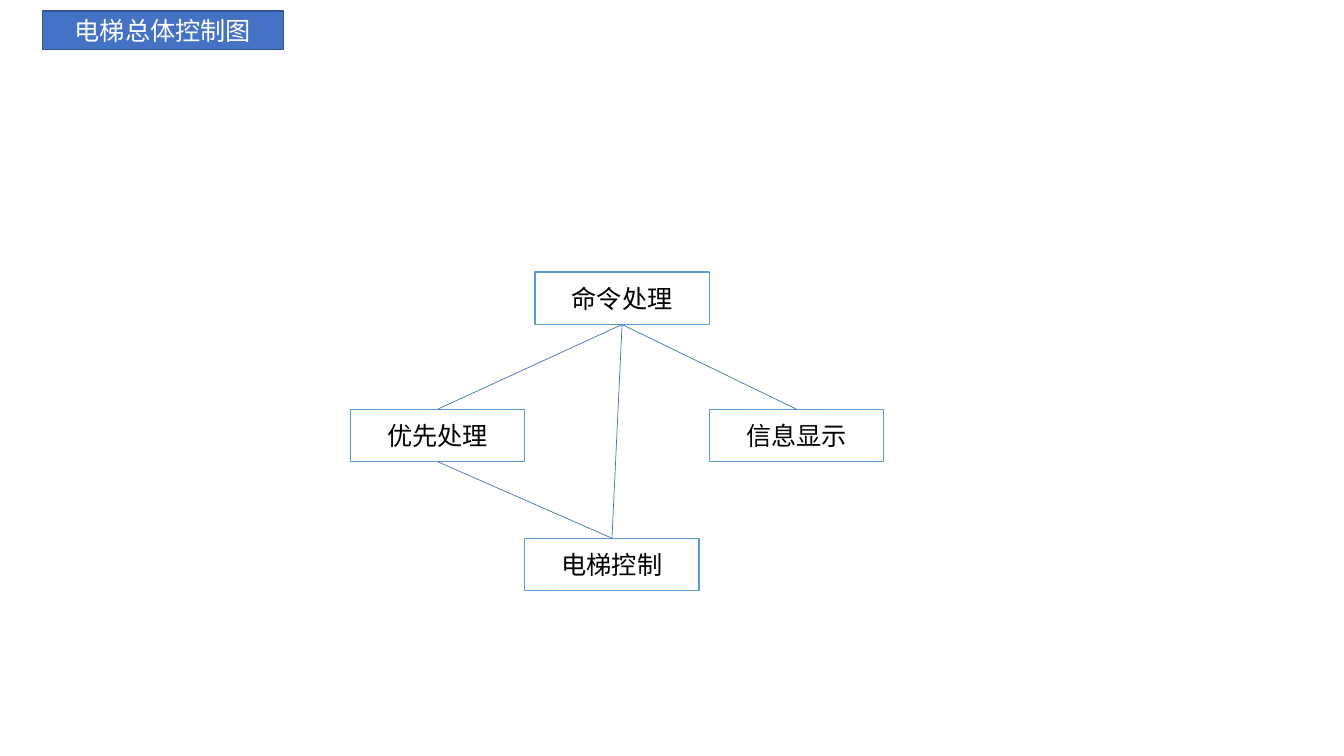
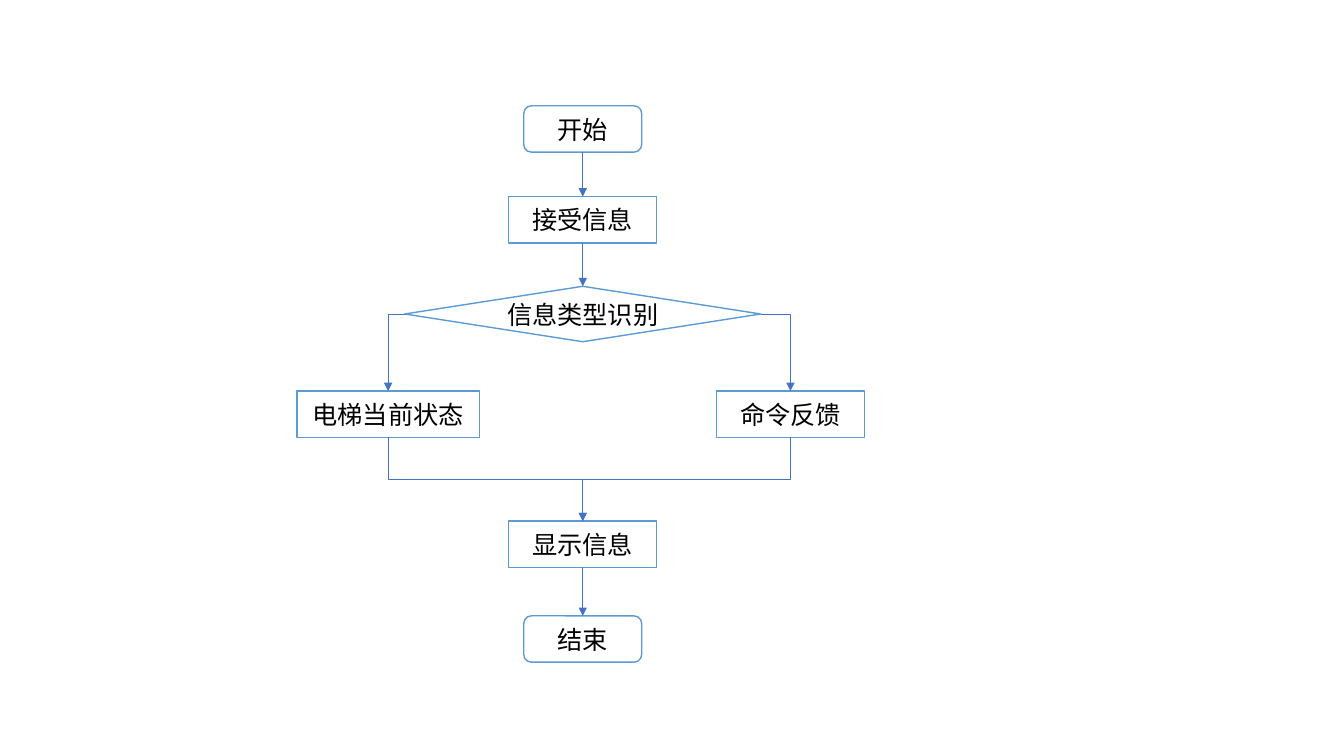
"""Build two slides on elevator control: a module diagram and a flow chart."""
from dataclasses import dataclass

from pptx import Presentation
from pptx.dml.color import RGBColor
from pptx.enum.shapes import MSO_CONNECTOR, MSO_SHAPE
from pptx.enum.text import MSO_ANCHOR, MSO_AUTO_SIZE, PP_ALIGN
from pptx.oxml.ns import qn
from pptx.util import Inches, Pt
from lxml import etree


@dataclass(frozen=True)
class Theme:
    """Colours, font and sizes shared by the slides."""
    font: str = "Noto Sans CJK SC"
    text_size: float = 18
    outline: float = 1
    link_width: float = 0.5
    paper: RGBColor = RGBColor(0xFF, 0xFF, 0xFF)
    ink: RGBColor = RGBColor(0x00, 0x00, 0x00)
    node_line: RGBColor = RGBColor(0x5B, 0x9B, 0xD5)
    accent: RGBColor = RGBColor(0x44, 0x72, 0xC4)
    accent_dark: RGBColor = RGBColor(0x32, 0x54, 0x91)


THEME = Theme()
TITLE_ONLY, BLANK = 5, 6
TOP, LEFT, BOTTOM, RIGHT = range(4)


def style_box(shape, text, fill, line, color):
    """Give a shape its fill, outline and centred text."""
    shape.fill.solid()
    shape.fill.fore_color.rgb = fill
    shape.line.color.rgb = line
    shape.line.width = Pt(THEME.outline)
    frame = shape.text_frame
    frame.word_wrap = True
    frame.auto_size = MSO_AUTO_SIZE.NONE
    frame.vertical_anchor = MSO_ANCHOR.MIDDLE
    paragraph = frame.paragraphs[0]
    paragraph.alignment = PP_ALIGN.CENTER
    run = paragraph.add_run()
    run.text = text
    run.font.size = Pt(THEME.text_size)
    run.font.name = THEME.font
    run.font.color.rgb = color
    east_asian = etree.SubElement(run.font._element, qn("a:ea"))
    east_asian.set("typeface", THEME.font)


def add_title(slide, text):
    """Turn the title placeholder into the blue heading band."""
    title = slide.shapes.title
    title.left, title.top = Inches(0.42), Inches(0.11)
    title.width, title.height = Inches(2.39), Inches(0.38)
    style_box(title, text, THEME.accent, THEME.accent_dark, THEME.paper)


def add_node(slide, text, center, top, width, height, kind=MSO_SHAPE.RECTANGLE):
    """Add a white outlined node centred on a column."""
    node = slide.shapes.add_shape(
        kind, Inches(center - width / 2), Inches(top), Inches(width), Inches(height))
    node.shadow.inherit = False
    style_box(node, text, THEME.paper, THEME.node_line, THEME.ink)
    return node


def add_link(slide, start, end, sites=(BOTTOM, TOP), kind=MSO_CONNECTOR.STRAIGHT, arrow=False):
    """Connect two nodes at the given sites."""
    link = slide.shapes.add_connector(kind, 0, 0, 0, 0)
    link.begin_connect(start, sites[0])
    link.end_connect(end, sites[1])
    link.line.color.rgb = THEME.accent
    link.line.width = Pt(THEME.link_width)
    properties = link._element.spPr
    if arrow:
        etree.SubElement(properties.find(qn("a:ln")), qn("a:tailEnd")).set("type", "triangle")
    etree.SubElement(properties, qn("a:effectLst"))
    return link


def add_branch(slide, start, end, side):
    """Add an arrow that leaves sideways and turns down once."""
    link = add_link(slide, start, end, (side, TOP), MSO_CONNECTOR.ELBOW, True)
    link._element.spPr.find(qn("a:prstGeom")).set("prst", "bentConnector2")


def add_merge(slide, start, end):
    """Add an arrow that goes down, across and down again."""
    link = add_link(slide, start, end, kind=MSO_CONNECTOR.ELBOW, arrow=True)
    rightward = link.begin_x < link.end_x
    across, down = link.width, link.height
    link.left += (across - down) // 2
    link.top += (down - across) // 2
    link.width, link.height = down, across
    xfrm = link._element.spPr.find(qn("a:xfrm"))
    xfrm.set("rot", "16200000" if rightward else "5400000")
    xfrm.set("flipH", "1" if rightward else "0")


def build_control_diagram(deck):
    """Show how the control modules relate."""
    slide = deck.slides.add_slide(deck.slide_layouts[TITLE_ONLY])
    add_title(slide, "电梯总体控制图")
    size = (1.73, 0.52)
    command = add_node(slide, "命令处理", 6.17, 2.7, *size)
    control = add_node(slide, "电梯控制", 6.07, 5.34, *size)
    priority = add_node(slide, "优先处理", 4.34, 4.06, *size)
    display = add_node(slide, "信息显示", 7.9, 4.06, *size)
    for start, end in ((priority, control), (command, priority),
                       (command, display), (command, control)):
        add_link(slide, start, end)


def build_display_flow(deck):
    """Show the flow of displaying information."""
    slide = deck.slides.add_slide(deck.slide_layouts[BLANK])
    middle, left, right = 5.78, 3.85, 7.84
    step, terminal = (1.47, 0.46), (1.17, 0.46)
    begin = add_node(slide, "开始", middle, 1.05, *terminal, MSO_SHAPE.ROUNDED_RECTANGLE)
    receive = add_node(slide, "接受信息", middle, 1.95, *step)
    identify = add_node(slide, "信息类型识别", middle, 2.84, 3.53, 0.55,
                        MSO_SHAPE.FLOWCHART_DECISION)
    state = add_node(slide, "电梯当前状态", left, 3.88, 1.81, 0.46)
    feedback = add_node(slide, "命令反馈", right, 3.88, *step)
    show = add_node(slide, "显示信息", middle, 5.17, *step)
    finish = add_node(slide, "结束", middle, 6.11, *terminal, MSO_SHAPE.ROUNDED_RECTANGLE)
    for start, end in ((begin, receive), (receive, identify), (show, finish)):
        add_link(slide, start, end, arrow=True)
    for branch, side in ((state, LEFT), (feedback, RIGHT)):
        add_branch(slide, identify, branch, side)
        add_merge(slide, branch, show)


def main():
    """Build and save the deck."""
    deck = Presentation()
    deck.slide_width, deck.slide_height = Inches(13.33), Inches(7.5)
    build_control_diagram(deck)
    build_display_flow(deck)
    deck.save("out.pptx")


main()
